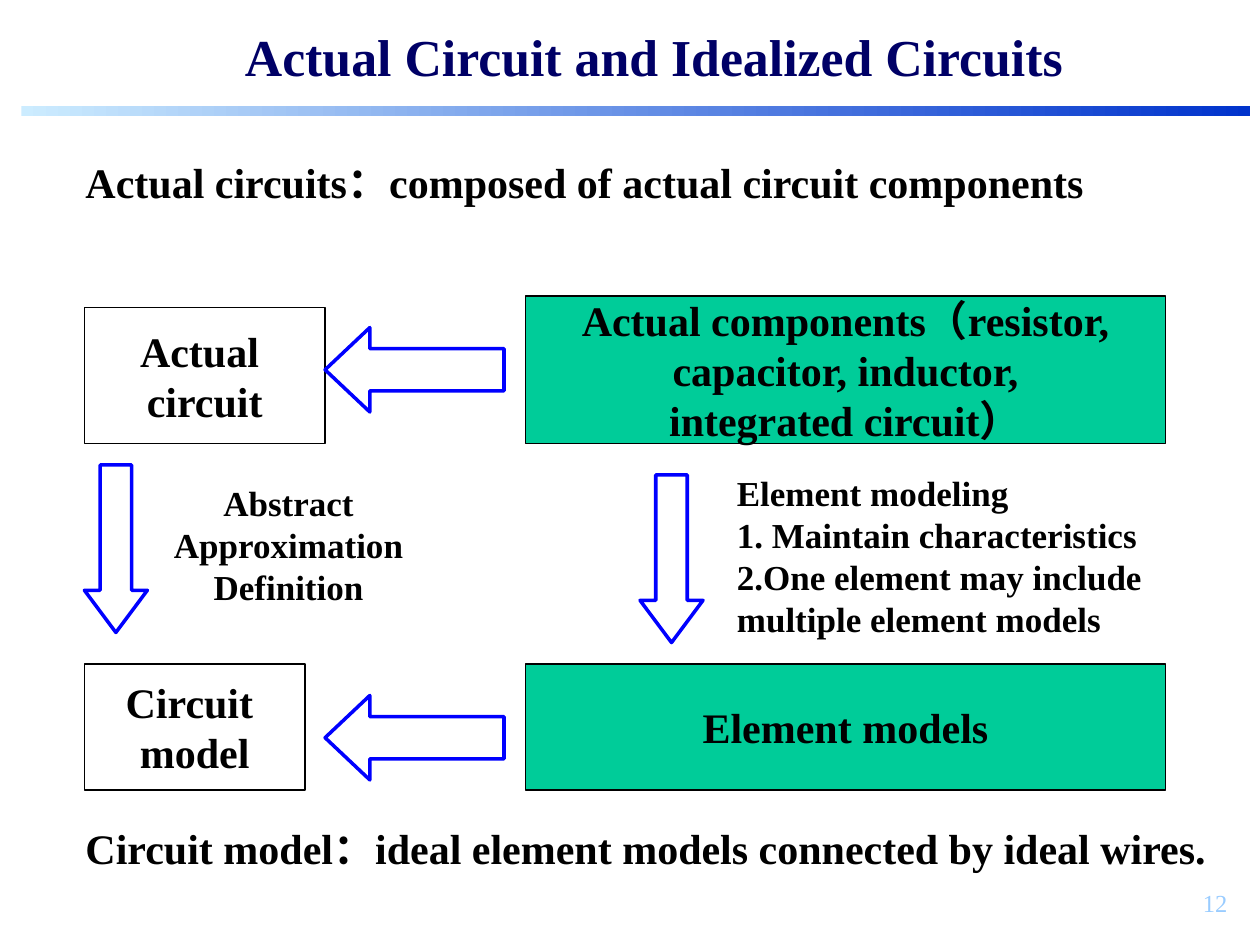
from dataclasses import dataclass
from pptx import Presentation
from pptx.dml.color import RGBColor
from pptx.enum.shapes import MSO_SHAPE
from pptx.enum.text import MSO_ANCHOR, PP_ALIGN
from pptx.util import Inches, Pt


@dataclass(frozen=True)
class Theme:
    face: str = "Times New Roman"
    ink: str = "000000"
    title: str = "000066"
    page: str = "99CCFF"
    green: str = "00CC99"
    arrow: str = "0000FF"
    pale: str = "CCECFF"
    deep: str = "0033CC"
    head: float = 29.6
    body: float = 24
    note: float = 20
    small: float = 14


class Deck:
    def __init__(self, slide, theme):
        self.slide = slide
        self.theme = theme

    def label(self, frame, lines, size, color=None, align=PP_ALIGN.LEFT,
              anchor=MSO_ANCHOR.TOP, wrap=True, bold=True):
        frame.word_wrap = wrap
        frame.vertical_anchor = anchor
        frame.text = "\n".join(lines)
        style = {"name": self.theme.face, "size": Pt(size), "bold": bold}
        for para in frame.paragraphs:
            para.alignment = align
            for run in para.runs:
                for key, value in style.items():
                    setattr(run.font, key, value)
                run.font.color.rgb = RGBColor.from_string(color or self.theme.ink)

    def text(self, place, lines, size, **look):
        box = self.slide.shapes.add_textbox(*map(Inches, place))
        self.label(box.text_frame, lines, size, **look)

    def shape(self, kind, place, color, width, fill=None):
        shape = self.slide.shapes.add_shape(kind, *map(Inches, place))
        shape.shadow.inherit = False
        shape.line.color.rgb = RGBColor.from_string(color)
        shape.line.width = Pt(width)
        if fill:
            shape.fill.solid()
            shape.fill.fore_color.rgb = RGBColor.from_string(fill)
        else:
            shape.fill.background()
        return shape

    def block(self, place, lines, fill=None):
        shape = self.shape(MSO_SHAPE.RECTANGLE, place, self.theme.ink, 0.75, fill)
        self.label(shape.text_frame, lines, self.theme.body, align=PP_ALIGN.CENTER,
                   anchor=MSO_ANCHOR.MIDDLE, wrap=False)

    def arrow(self, kind, place, head):
        shape = self.shape(kind, place, self.theme.arrow, 2)
        shape.adjustments[0] = 0.5
        shape.adjustments[1] = head

    def rule(self, place):
        bar = self.slide.shapes.add_shape(MSO_SHAPE.RECTANGLE, *map(Inches, place))
        bar.shadow.inherit = False
        bar.line.fill.background()
        bar.fill.gradient()
        bar.fill.gradient_angle = 0
        ends = (0, self.theme.pale), (1, self.theme.deep)
        for stop, (spot, color) in zip(bar.fill.gradient_stops, ends):
            stop.position = spot
            stop.color.rgb = RGBColor.from_string(color)


def main():
    show = Presentation()
    show.slide_width, show.slide_height = Inches(10), Inches(7.5)
    theme = Theme()
    deck = Deck(show.slides.add_slide(show.slide_layouts[6]), theme)

    deck.rule((0.17, 0.84, 9.75, 0.08))
    deck.text((0.55, 0.13, 9.29, 0.63), ["Actual Circuit and Idealized Circuits"],
              theme.head, color=theme.title, align=PP_ALIGN.CENTER,
              anchor=MSO_ANCHOR.MIDDLE)
    deck.text((0.58, 1.19, 8.25, 0.9),
              ["Actual circuits：composed of actual circuit components"], theme.body)

    deck.block((0.67, 2.44, 1.91, 1.08), ["Actual ", "circuit"])
    deck.block((0.67, 5.27, 1.75, 1), ["Circuit ", "model"])
    deck.block((4.17, 2.35, 5.08, 1.17),
               ["Actual components（resistor,", "capacitor, inductor,",
                "integrated circuit）"], theme.green)
    deck.block((4.17, 5.27, 5.08, 1), ["Element models"], theme.green)

    for top in (2.6, 5.52):
        deck.arrow(MSO_SHAPE.LEFT_ARROW, (2.58, top, 1.42, 0.67), 0.53)
    for left, top in ((0.67, 3.69), (5.08, 3.77)):
        deck.arrow(MSO_SHAPE.DOWN_ARROW, (left, top, 0.5, 1.33), 0.67)

    deck.text((1.28, 3.77, 2.02, 1.1), ["Abstract", "Approximation", "Definition"],
              theme.note, align=PP_ALIGN.CENTER, wrap=False)
    deck.text((5.75, 3.69, 3.9, 1.44),
              ["Element modeling", "1. Maintain characteristics",
               "2.One element may include multiple element models"], theme.note)
    deck.text((0.58, 6.44, 9.42, 0.57),
              ["Circuit model：ideal element models connected by ideal wires."],
              theme.body, anchor=MSO_ANCHOR.MIDDLE)
    deck.text((7.76, 7, 2.08, 0.5), ["12"], theme.small, color=theme.page,
              align=PP_ALIGN.RIGHT, bold=False)
    show.save("out.pptx")


if __name__ == "__main__":
    main()
